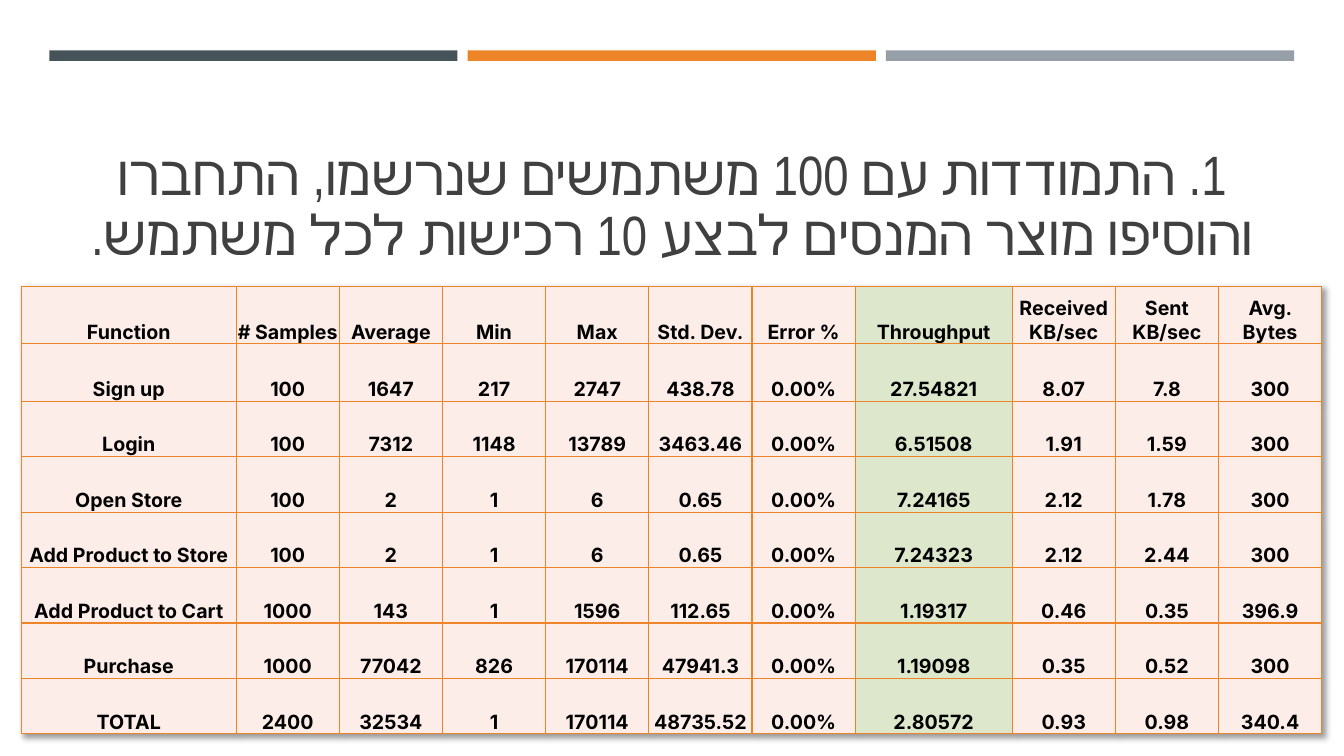
from lxml.etree import SubElement
from pptx import Presentation
from pptx.dml.color import RGBColor
from pptx.enum.shapes import MSO_SHAPE as Preset
from pptx.enum.text import MSO_ANCHOR as Anchor, MSO_AUTO_SIZE as AutoSize, PP_ALIGN as Align
from pptx.oxml import parse_xml
from pptx.oxml.ns import nsdecls, qn
from pptx.util import Pt

ORANGE, PINK, GREEN = "ED8428", "FCEDE8", "DDE7CB"
BAR_COLOURS = ["465359", ORANGE, "969FA7"]
TITLE = "1. התמודדות עם 100 משתמשים שנרשמו, התחברו והוסיפו מוצר המנסים לבצע 10 רכישות לכל משתמש."
RESULTS = [
    ["Function", "# Samples", "Average", "Min", "Max", "Std. Dev.", "Error %",
     "Throughput", "Received KB/sec", "Sent KB/sec", "Avg. Bytes"],
    ["Sign up", "100", "1647", "217", "2747", "438.78", "0.00%", "27.54821", "8.07", "7.8", "300"],
    ["Login", "100", "7312", "1148", "13789", "3463.46", "0.00%", "6.51508", "1.91", "1.59", "300"],
    ["Open Store", "100", "2", "1", "6", "0.65", "0.00%", "7.24165", "2.12", "1.78", "300"],
    ["Add Product to Store", "100", "2", "1", "6", "0.65", "0.00%", "7.24323", "2.12", "2.44", "300"],
    ["Add Product to Cart", "1000", "143", "1", "1596", "112.65", "0.00%", "1.19317", "0.46", "0.35", "396.9"],
    ["Purchase", "1000", "77042", "826", "170114", "47941.3", "0.00%", "1.19098", "0.35", "0.52", "300"],
    ["TOTAL", "2400", "32534", "1", "170114", "48735.52", "0.00%", "2.80572", "0.93", "0.98", "340.4"],
]
THROUGHPUT = RESULTS[0].index("Throughput")


def colour(value):
    """Turn a hex string into a colour."""
    return RGBColor.from_string(value)


def add_run(paragraph, text, font, size, ink, bold=False):
    """Add one formatted run to a centred paragraph."""
    paragraph.alignment = Align.CENTER
    run = paragraph.add_run()
    run.text = text
    run.font.name, run.font.size, run.font.bold = font, Pt(size), bold
    run.font.color.rgb = colour(ink)
    return run


def add_bars(slide, left, top, width, height, gap=7.2):
    """Place equal coloured bars side by side across the box."""
    bar_width = (width - gap * (len(BAR_COLOURS) - 1)) / len(BAR_COLOURS)
    for index, fill in enumerate(BAR_COLOURS):
        bar = slide.shapes.add_shape(Preset.RECTANGLE, Pt(left + index * (bar_width + gap)),
                                     Pt(top), Pt(bar_width), Pt(height))
        bar.shadow.inherit = False
        bar.fill.solid()
        bar.fill.fore_color.rgb = colour(fill)
        bar.line.fill.background()


def set_title(slide, left, top, width, height):
    """Place the right-to-left title at the bottom of its box."""
    title = slide.shapes.title
    title.left, title.top, title.width, title.height = map(Pt, (left, top, width, height))
    frame = title.text_frame
    frame.word_wrap, frame.auto_size = True, AutoSize.NONE
    frame.vertical_anchor = Anchor.BOTTOM
    paragraph = frame.paragraphs[0]
    paragraph.line_spacing = 0.9
    run = add_run(paragraph, TITLE, "Arial Narrow", 39.6, "404040")
    paragraph._p.get_or_add_pPr().set("rtl", "1")
    SubElement(run.font._element, qn("a:cs"), typeface="Arial Narrow")


def format_cell(cell, text, fill):
    """Write one cell with its fill, thin margins and orange borders."""
    cell.fill.solid()
    cell.fill.fore_color.rgb = colour(fill)
    cell.vertical_anchor = Anchor.BOTTOM
    cell.margin_left = cell.margin_right = cell.margin_top = Pt(0.7)
    cell.margin_bottom = 0
    add_run(cell.text_frame.paragraphs[0], text, "Inter", 14, "000000", bold=True)
    properties = cell._tc.get_or_add_tcPr()
    for index, side in enumerate("LRTB"):
        properties.insert(index, parse_xml(
            f'<a:ln{side} {nsdecls("a")} w="{Pt(1)}"><a:solidFill>'
            f'<a:srgbClr val="{ORANGE}"/></a:solidFill></a:ln{side}>'))


def add_results(slide, left, top, width, height):
    """Fill the box with the results table and its soft shadow."""
    table = slide.shapes.add_table(len(RESULTS), len(RESULTS[0]), Pt(left), Pt(top),
                                   Pt(width), Pt(height)).table
    table.first_row = table.horz_banding = False
    wide = {0: 153.4, THROUGHPUT: 112.1}
    narrow = (width - sum(wide.values())) / (len(RESULTS[0]) - len(wide))
    for index, column in enumerate(table.columns):
        column.width = Pt(wide.get(index, narrow))
    tall = 41
    short = (height - 2 * tall) / (len(RESULTS) - 2)
    for index, row in enumerate(table.rows):
        row.height = Pt(tall if index < 2 else short)
        for position, text in enumerate(RESULTS[index]):
            format_cell(row.cells[position], text, GREEN if position == THROUGHPUT else PINK)
    table._tbl.tblPr.insert(0, parse_xml(
        f'<a:effectLst {nsdecls("a")}><a:outerShdw blurRad="{Pt(4)}" dist="{Pt(3)}" dir="2700000" '
        'algn="tl" rotWithShape="0"><a:srgbClr val="000000"><a:alpha val="40000"/>'
        '</a:srgbClr></a:outerShdw></a:effectLst>'))


def build_slide(presentation):
    """Add the load test slide."""
    slide = presentation.slides.add_slide(presentation.slide_layouts[5])
    add_bars(slide, 35.2, 36, 889.2, 7.5)
    set_title(slide, 46, 55.4, 868.4, 139)
    add_results(slide, 15.3, 204.6, 929, 319.6)


presentation = Presentation()
presentation.slide_width, presentation.slide_height = Pt(960), Pt(540)
build_slide(presentation)
presentation.save("out.pptx")
